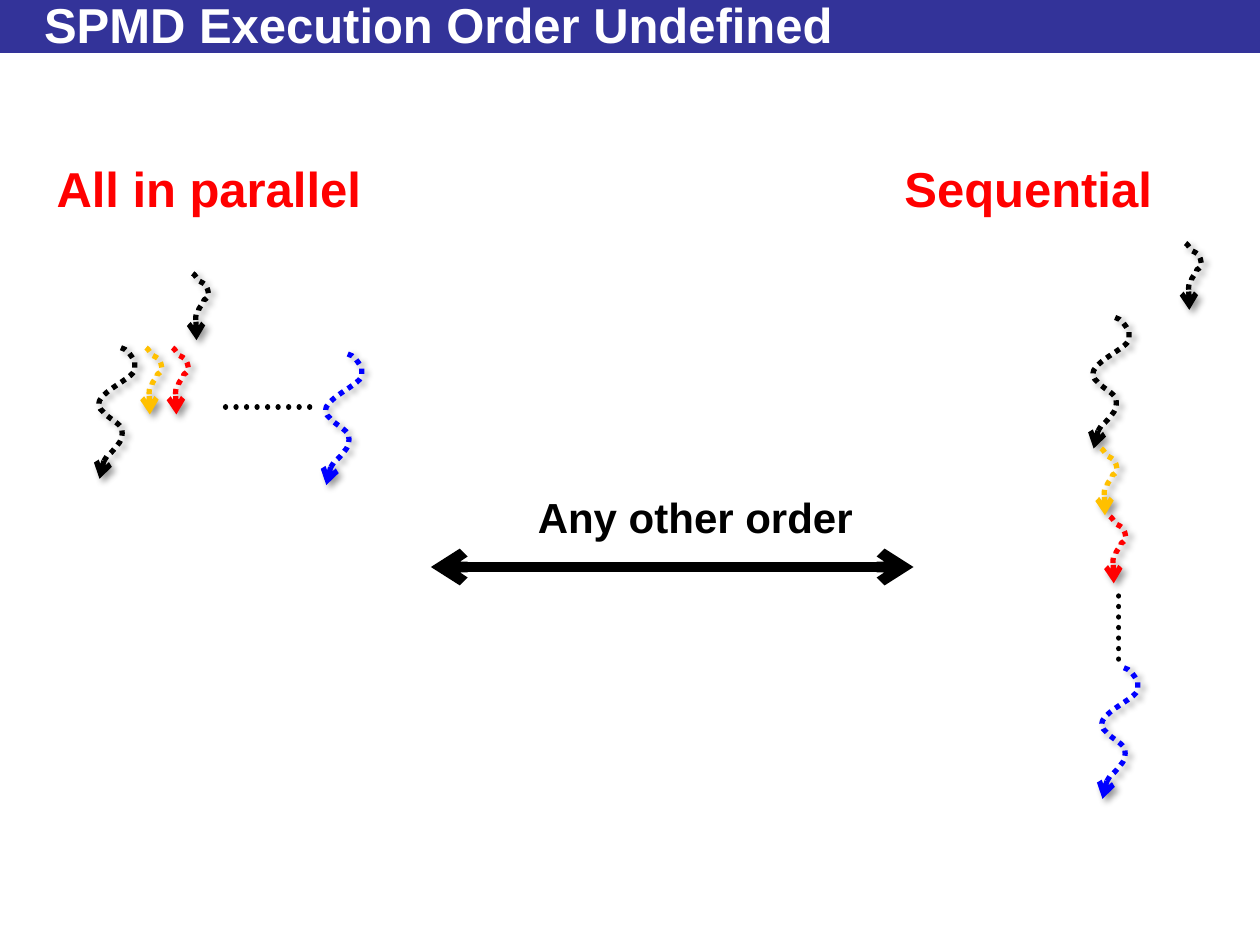
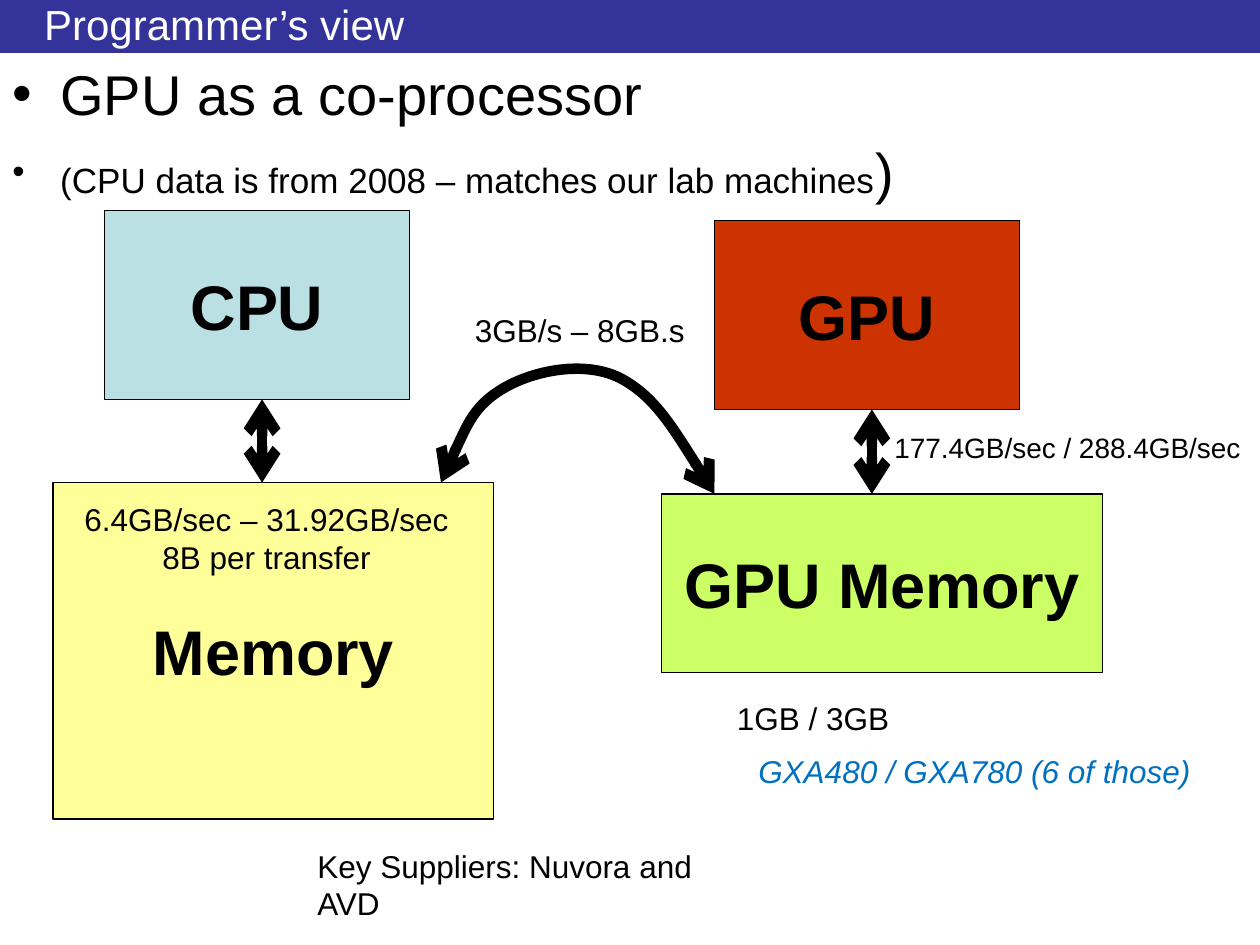
from lxml import etree
from pptx import Presentation
from pptx.dml.color import RGBColor
from pptx.enum.dml import MSO_LINE
from pptx.enum.shapes import MSO_CONNECTOR, MSO_SHAPE
from pptx.enum.text import MSO_ANCHOR, MSO_AUTO_SIZE, PP_ALIGN
from pptx.oxml.ns import qn
from pptx.util import Inches, Pt

RECT = MSO_SHAPE.RECTANGLE
LINE = MSO_CONNECTOR.STRAIGHT
DOTS = MSO_LINE.ROUND_DOT
MIDDLE = MSO_ANCHOR.MIDDLE
LEFT, CENTER = PP_ALIGN.LEFT, PP_ALIGN.CENTER
NO_FIT = MSO_AUTO_SIZE.NONE

FONT = "Arial"
TITLE_ONLY = 5
BLACK = RGBColor(0x00, 0x00, 0x00)
WHITE = RGBColor(0xFF, 0xFF, 0xFF)
NAVY = RGBColor(0x33, 0x33, 0x99)
RED = RGBColor(0xFF, 0x00, 0x00)
GOLD = RGBColor(0xFF, 0xC0, 0x00)
BLUE = RGBColor(0x00, 0x00, 0xFF)
SKY = RGBColor(0x00, 0x70, 0xC0)
AQUA = RGBColor(0xBB, 0xE0, 0xE3)
CREAM = RGBColor(0xFF, 0xFF, 0x99)
RUST = RGBColor(0xCC, 0x33, 0x00)
LIME = RGBColor(0xCC, 0xFF, 0x66)

# Curves: a start point, then three Bezier points for each segment.
LONG = [
    (0.18, 0),
    (0.23, 0.01), (0.26, 0.06), (0.29, 0.11),
    (0.29, 0.13), (0.29, 0.15), (0.29, 0.18),
    (0.26, 0.24), (0.12, 0.3), (0.04, 0.38),
    (0.03, 0.4), (0.01, 0.41), (0.01, 0.42),
    (0, 0.45), (0, 0.48), (0.04, 0.51),
    (0.07, 0.55), (0.15, 0.59), (0.18, 0.63),
    (0.19, 0.65), (0.2, 0.7), (0.17, 0.75),
    (0.14, 0.79), (0.11, 0.83), (0.07, 0.86),
    (0.06, 0.88), (0.04, 0.9), (0.04, 0.91),
    (0.03, 0.92), (0.01, 1.03), (0.01, 1.04),
]
SHORT = [
    (0, 0),
    (0.02, 0.01), (0.03, 0.04), (0.05, 0.06),
    (0.07, 0.07), (0.09, 0.08), (0.1, 0.09),
    (0.13, 0.14), (0.14, 0.19), (0.09, 0.21),
    (0.08, 0.26), (0.09, 0.21), (0.07, 0.25),
    (0.02, 0.32), (0.07, 0.28), (0.03, 0.31),
    (0.02, 0.36), (0.03, 0.48), (0.03, 0.53),
]
ARC = [
    (0, 0.97),
    (0.13, 0.67), (0.26, 0.36), (0.5, 0.22),
    (0.74, 0.08), (1.14, 0), (1.42, 0.14),
    (1.69, 0.28), (1.93, 0.67), (2.17, 1.06),
]


def style(par, size, color=BLACK, bold=False, italic=False, align=LEFT):
    par.alignment = align
    for run in par.runs:
        font = run.font
        font.name, font.size = FONT, Pt(size)
        font.bold, font.italic = bold, italic
        font.color.rgb = color


def add_box(slide, left, top, width, height, fill, text=""):
    box = slide.shapes.add_shape(
        RECT, Inches(left), Inches(top), Inches(width), Inches(height))
    box.shadow.inherit = False
    box.fill.solid()
    box.fill.fore_color.rgb = fill
    box.line.color.rgb = BLACK
    box.line.width = Pt(0.75)
    frame = box.text_frame
    frame.word_wrap = False
    frame.vertical_anchor = MIDDLE
    frame.text = text
    style(frame.paragraphs[0], 36, bold=True, align=CENTER)
    return box


def add_slide(deck, text, size, bold):
    """Add a slide with the title band behind its title."""
    slide = deck.slides.add_slide(deck.slide_layouts[TITLE_ONLY])
    band = add_box(slide, 0, 0, 10, 0.42, NAVY)
    band.line.fill.background()
    slide.shapes.element.insert(2, band.element)
    title = slide.shapes.title
    title.left, title.top = Inches(0.25), Inches(0.05)
    title.width, title.height = Inches(9.25), Inches(0.28)
    frame = title.text_frame
    frame.text = text
    frame.auto_size = NO_FIT
    frame.vertical_anchor = MIDDLE
    style(frame.paragraphs[0], size, WHITE, bold)
    return slide


def add_label(slide, left, top, width, height, text, size, **look):
    box = slide.shapes.add_textbox(
        Inches(left), Inches(top), Inches(width), Inches(height))
    frame = box.text_frame
    frame.word_wrap = False
    frame.text = text
    for par in frame.paragraphs:
        style(par, size, **look)


def add_ends(shape, *ends):
    for end in ends:
        etree.SubElement(
            shape.element.spPr.get_or_add_ln(), qn("a:" + end), type="arrow")


def add_line(slide, start, end, width):
    line = slide.shapes.add_connector(LINE, *map(Inches, start + end))
    line.line.color.rgb = BLACK
    line.line.width = Pt(width)
    etree.SubElement(line.element.spPr, qn("a:effectLst"))
    return line


def add_arrow(slide, start, end):
    add_ends(add_line(slide, start, end, 6), "headEnd", "tailEnd")


def add_dots(slide, start, end):
    line = add_line(slide, start, end, 3)
    line.line.dash_style = DOTS
    line.element.spPr.get_or_add_ln().set("cap", "rnd")


def add_curve(slide, left, top, points, color, width):
    spots = [(Inches(left + x), Inches(top + y)) for x, y in points]
    pen = slide.shapes.build_freeform(*spots[0])
    pen.add_line_segments(spots[1:], close=False)
    curve = pen.convert_to_shape()
    curve.shadow.inherit = False
    curve.fill.background()
    curve.line.color.rgb = color
    curve.line.width = Pt(width)
    # Each three straight steps become one Bezier segment.
    track = next(curve.element.iter(qn("a:path")))
    steps = track.findall(qn("a:lnTo"))
    for i in range(0, len(steps), 3):
        bend = etree.SubElement(track, qn("a:cubicBezTo"))
        for step in steps[i:i + 3]:
            bend.append(step[0])
            track.remove(step)
    return curve


def add_thread(slide, left, top, points, color):
    """Draw a dotted wavy arrow with a soft shadow."""
    wave = add_curve(slide, left, top, points, color, 3)
    wave.line.dash_style = DOTS
    add_ends(wave, "tailEnd")
    effects = wave.element.spPr.find(qn("a:effectLst"))
    shade = etree.SubElement(
        effects, qn("a:outerShdw"), blurRad=str(Pt(4)), dist=str(Pt(3)),
        dir=str(45 * 60000), rotWithShape="0")
    tone = etree.SubElement(shade, qn("a:srgbClr"), val=str(BLACK))
    etree.SubElement(tone, qn("a:alpha"), val="40000")


def add_points(slide, items):
    """Add bullets; each item is a list of (text, size) runs."""
    box = slide.shapes.add_textbox(0, Inches(0.42), Inches(10), Inches(7.08))
    frame = box.text_frame
    frame.word_wrap = True
    for i, item in enumerate(items):
        par = frame.add_paragraph() if i else frame.paragraphs[0]
        par.space_before = Pt(6.4)
        props = par._p.get_or_add_pPr()
        props.set("marL", str(Inches(0.38)))
        props.set("indent", str(Inches(-0.38)))
        etree.SubElement(props, qn("a:buFont"), typeface=FONT)
        etree.SubElement(props, qn("a:buChar"), char="•")
        for text, size in item:
            run = par.add_run()
            run.text = text
            run.font.name, run.font.size = FONT, Pt(size)
            run.font.color.rgb = BLACK


def add_order(deck):
    slide = add_slide(deck, "SPMD Execution Order Undefined", 28, True)
    for left, top, points, color in [
        (0.78, 2.76, LONG, BLACK),
        (1.53, 2.17, SHORT, BLACK),
        (1.16, 2.76, SHORT, GOLD),
        (1.37, 2.76, SHORT, RED),
        (2.58, 2.81, LONG, BLUE),
        (8.67, 2.52, LONG, BLACK),
        (9.41, 1.93, SHORT, BLACK),
        (8.74, 3.56, SHORT, GOLD),
        (8.81, 4.1, SHORT, RED),
        (8.74, 5.3, LONG, BLUE),
    ]:
        add_thread(slide, left, top, points, color)
    add_dots(slide, (1.79, 3.23), (2.49, 3.23))
    add_dots(slide, (8.88, 4.73), (8.88, 5.3))
    add_label(slide, 0.35, 1.21, 2.65, 0.57, "All in parallel", 28,
              color=RED, bold=True)
    add_label(slide, 7.08, 1.21, 2.19, 0.57, "Sequential", 28,
              color=RED, bold=True)
    add_arrow(slide, (3.42, 4.5), (7.25, 4.5))
    add_label(slide, 4.17, 3.85, 2.73, 0.5, "Any other order", 24, bold=True)


def add_view(deck):
    slide = add_slide(deck, "Programmer’s view", 24, False)
    add_points(slide, [
        [("GPU as a co-processor", 32)],
        [("(CPU data is from 2008 – matches our lab machines", 20),
         (")", 32)],
    ])
    add_box(slide, 0.83, 1.67, 2.42, 1.5, AQUA, "CPU")
    add_box(slide, 0.42, 3.83, 3.5, 2.67, CREAM, "Memory")
    add_box(slide, 5.67, 1.75, 2.42, 1.5, RUST, "GPU")
    add_box(slide, 5.25, 3.92, 3.5, 1.42, LIME, "GPU Memory")
    add_arrow(slide, (2.08, 3.17), (2.08, 3.83))
    add_arrow(slide, (6.92, 3.25), (6.92, 3.92))
    link = add_curve(slide, 3.5, 2.86, ARC, BLACK, 6)
    add_ends(link, "headEnd", "tailEnd")
    add_label(slide, 5.75, 5.5, 1.42, 0.4, "1GB / 3GB", 18)
    add_label(slide, 3.67, 2.42, 1.87, 0.4, "3GB/s – 8GB.s", 18)
    add_label(slide, 0.57, 3.92, 3.09, 0.7,
              "6.4GB/sec – 31.92GB/sec\n8B per transfer", 18, align=CENTER)
    add_label(slide, 7, 3.37, 2.99, 0.37, "177.4GB/sec / 288.4GB/sec", 16)
    add_label(slide, 2.42, 6.67, 3.71, 0.4,
              "Key Suppliers: Nuvora and AVD", 18)
    add_label(slide, 5.92, 5.92, 3.64, 0.4, "GXA480 / GXA780 (6 of those)", 18,
              color=SKY, italic=True)


def main():
    deck = Presentation()
    deck.slide_width, deck.slide_height = Inches(10), Inches(7.5)
    add_order(deck)
    add_view(deck)
    deck.save("out.pptx")


if __name__ == "__main__":
    main()
